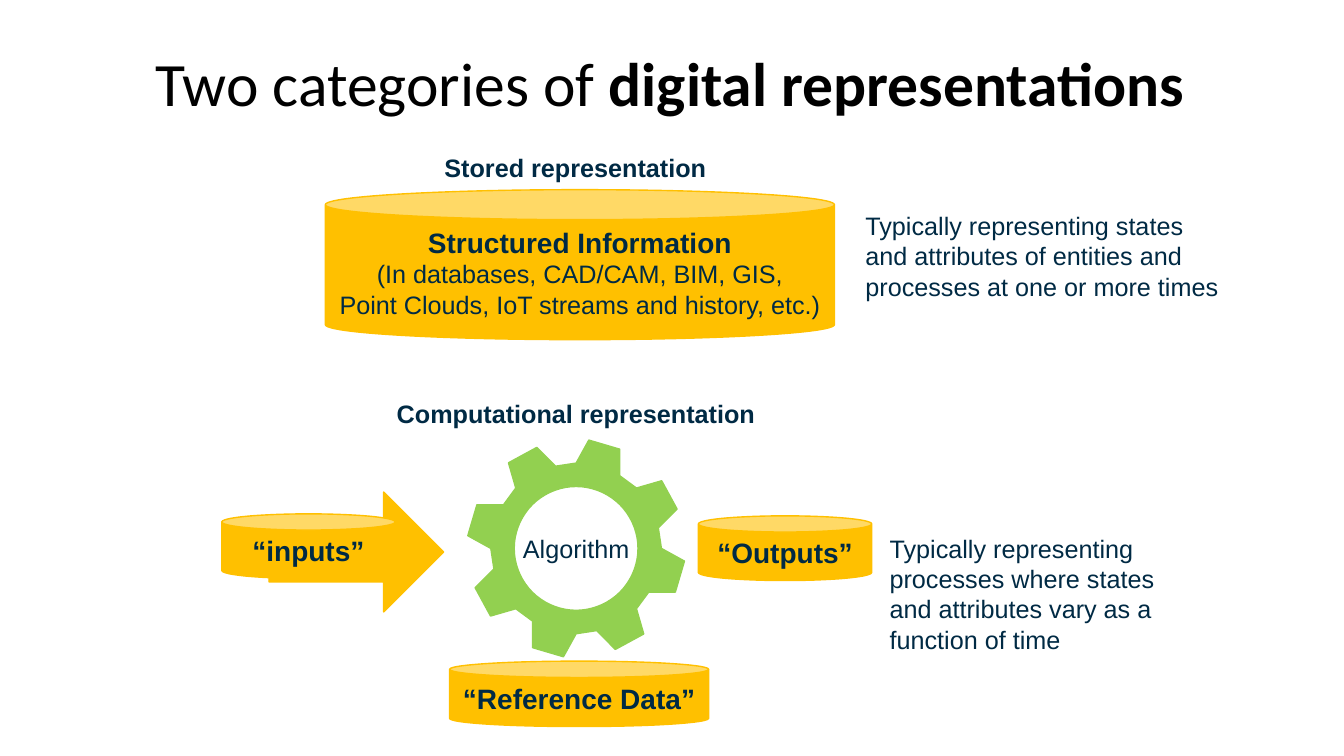
from math import cos, pi, sin

from pptx import Presentation
from pptx.dml.color import RGBColor
from pptx.enum.shapes import MSO_SHAPE
from pptx.enum.text import MSO_ANCHOR, PP_ALIGN
from pptx.util import Cm, Pt

CAN, ARROW = MSO_SHAPE.CAN, MSO_SHAPE.RIGHT_ARROW
CENTER, LEFT = PP_ALIGN.CENTER, PP_ALIGN.LEFT
MIDDLE = MSO_ANCHOR.MIDDLE
NAVY, AMBER, GREEN, BLACK = "002A44", "FFC000", "92D050", "000000"


def paint(shape, color):
    shape.shadow.inherit = False
    shape.fill.solid()
    shape.fill.fore_color.rgb = RGBColor.from_string(color)
    shape.line.color.rgb = RGBColor.from_string(color)
    shape.line.width = Pt(1)


def write(frame, lines, align=CENTER):
    """Fill a text frame with (text, size, bold) lines."""
    for index, (text, size, bold) in enumerate(lines):
        para = frame.add_paragraph() if index else frame.paragraphs[0]
        para.text = text
        para.alignment = align
        para.font.name = "Arial"
        para.font.size = Pt(size)
        para.font.bold = bold
        para.font.color.rgb = RGBColor.from_string(NAVY)


deck = Presentation()
deck.slide_width, deck.slide_height = Cm(33.87), Cm(19.05)
page = deck.slides.add_slide(deck.slide_layouts[5])

# Title
title = page.shapes.title
title.left, title.top, title.width, title.height = Cm(1.37), Cm(0.76), Cm(31.04), Cm(2.82)
title.text_frame.vertical_anchor = MIDDLE
para = title.text_frame.paragraphs[0]
para.alignment = CENTER
para.line_spacing = 0.9
para.font.name = "Calibri"
para.font.size = Pt(44)
para.font.color.rgb = RGBColor.from_string(BLACK)
para.add_run().text = "Two categories of "
span = para.add_run()
span.text = "digital representations"
span.font.bold = True

# Headings and side notes: left, top, width, height, text, heading or not
texts = [
    (10.92, 3.71, 7.16, 1.02, "Stored representation", True),
    (9.7, 9.91, 9.63, 1.02, "Computational representation", True),
    (21.56, 5.18, 9.55, 2.57, "Typically representing states and attributes of "
     "entities and processes at one or more times", False),
    (22.17, 13.31, 7.8, 3.33, "Typically representing processes where states "
     "and attributes vary as a function of time", False),
]
for left, top, width, height, text, heading in texts:
    box = page.shapes.add_textbox(Cm(left), Cm(top), Cm(width), Cm(height))
    box.text_frame.word_wrap = not heading
    write(box.text_frame, [(text, 18, heading)], CENTER if heading else LEFT)

# Arrow behind the inputs
arrow = page.shapes.add_shape(ARROW, Cm(6.78), Cm(12.4), Cm(4.4), Cm(3.02))
paint(arrow, AMBER)

# Data stores: left, top, width, height, lid ratio, lines
stores = [
    (8.2, 4.78, 12.83, 3.78, 0.2, [
        ("Structured Information", 20, True),
        ("(In databases, CAD/CAM, BIM, GIS,", 18, False),
        ("Point Clouds, IoT streams and history, etc.)", 18, False)]),
    (5.59, 12.95, 4.37, 1.63, 0.25, [("“inputs”", 20, True)]),
    (17.6, 13, 4.37, 1.63, 0.25, [("“Outputs”", 20, True)]),
    (11.33, 16.66, 6.53, 1.65, 0.25, [("“Reference Data”", 20, True)]),
]
for left, top, width, height, lid, lines in stores:
    store = page.shapes.add_shape(CAN, Cm(left), Cm(top), Cm(width), Cm(height))
    store.adjustments[0] = lid
    paint(store, AMBER)
    frame = store.text_frame
    frame.word_wrap = True
    frame.margin_left = frame.margin_right = Cm(0.1)
    frame.vertical_anchor = MIDDLE
    write(frame, lines)

# Gear: one tooth turned around the centre eight times, then a round hole
center_x, center_y, hole_radius = 14.52, 13.82, 1.56
teeth, hole_steps = 8, 72
tooth = [(0, -2.15), (0.32, -2.73), (1.1, -2.5), (1.1, -1.83)]
rim = []
for step in range(teeth):
    turn = 2 * pi * step / teeth
    for x, y in tooth:
        rim.append((Cm(center_x + x * cos(turn) - y * sin(turn)),
                    Cm(center_y + x * sin(turn) + y * cos(turn))))
hole = []
for step in range(hole_steps):
    turn = -2 * pi * step / hole_steps
    hole.append((Cm(center_x + hole_radius * cos(turn)),
                 Cm(center_y + hole_radius * sin(turn))))

builder = page.shapes.build_freeform(*rim[0])
builder.add_line_segments(rim[1:], close=True)
builder.move_to(*hole[0])
builder.add_line_segments(hole[1:], close=True)
gear = builder.convert_to_shape()
paint(gear, GREEN)
gear.text_frame.vertical_anchor = MIDDLE
write(gear.text_frame, [("Algorithm", 18, False)])

deck.save("out.pptx")
